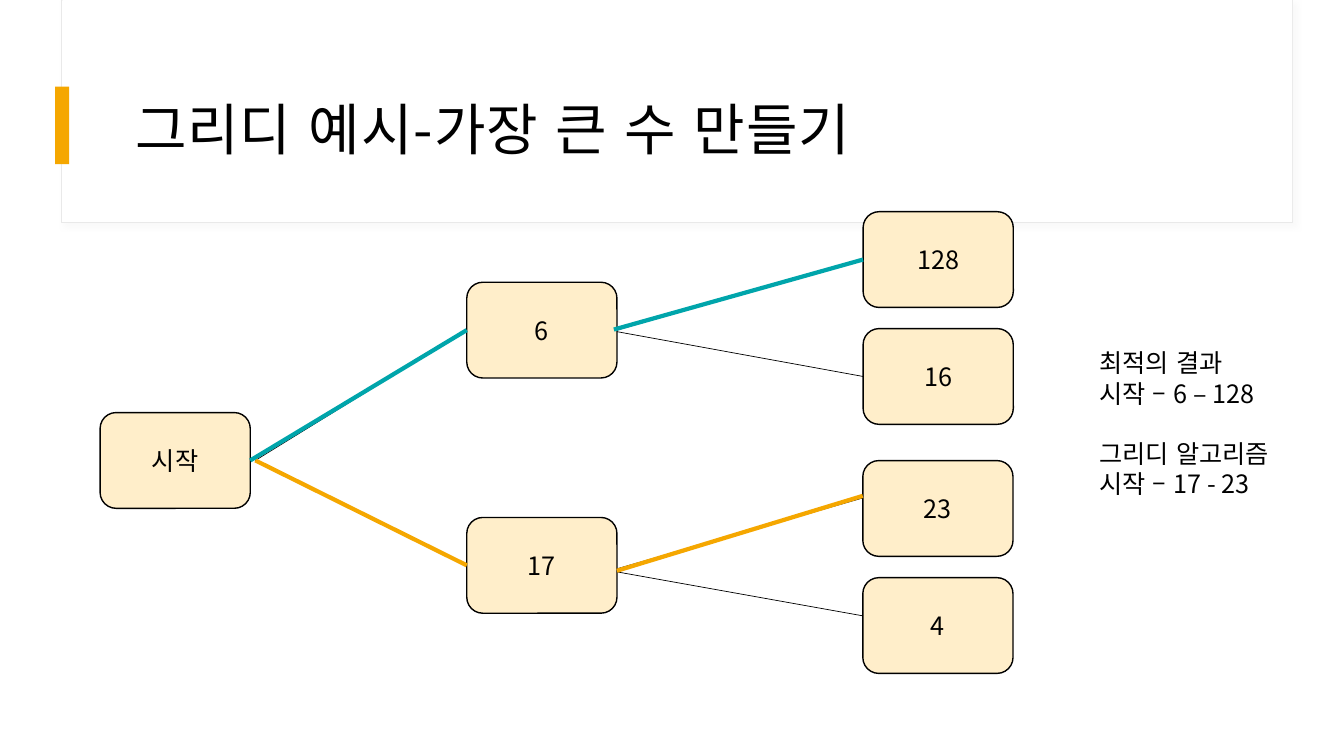
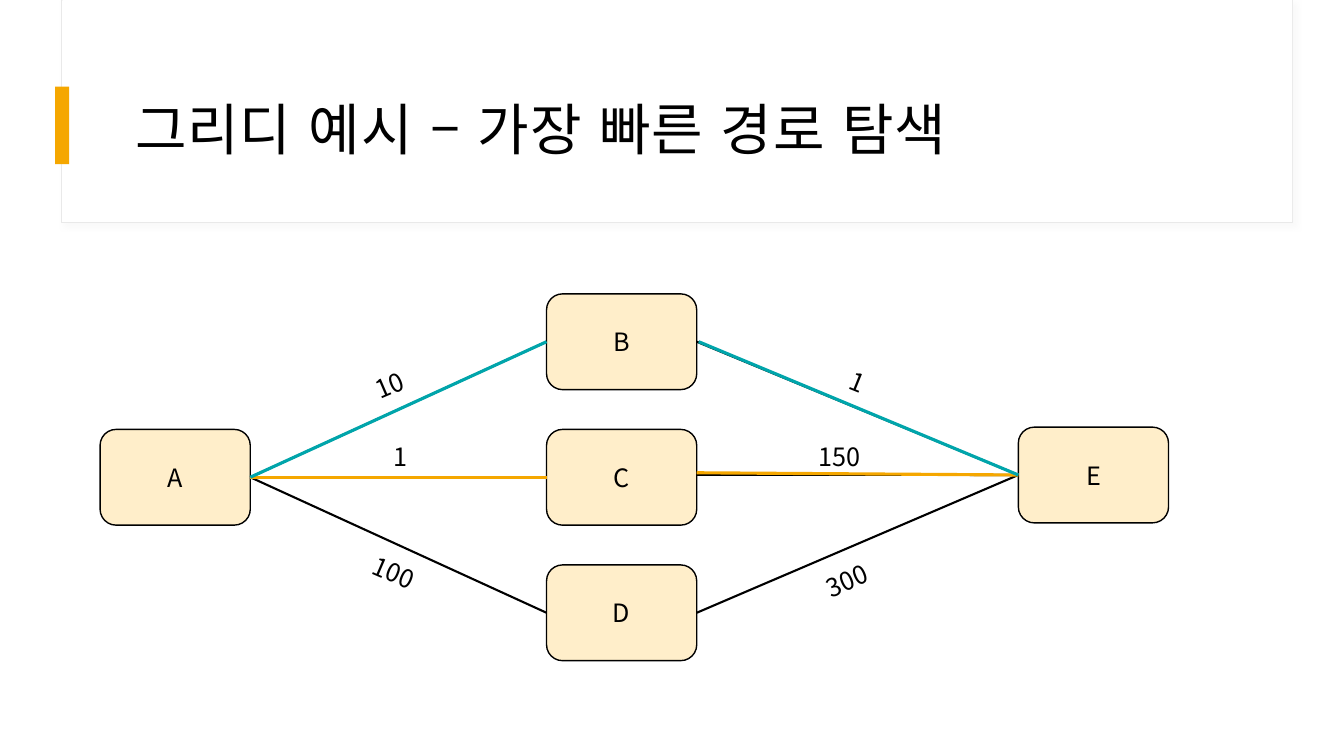
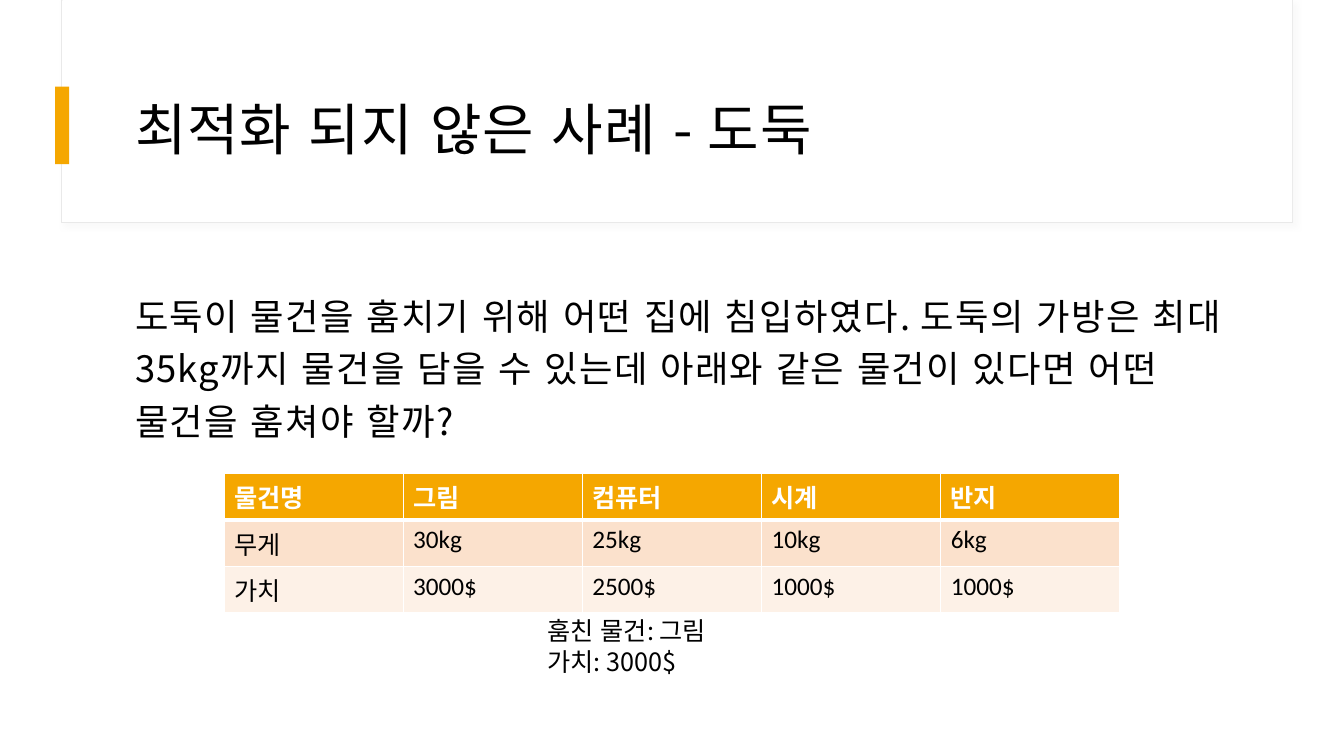
from lxml.etree import SubElement
from pptx import Presentation
from pptx.dml.color import RGBColor
from pptx.enum.lang import MSO_LANGUAGE_ID
from pptx.enum.shapes import MSO_CONNECTOR, MSO_SHAPE
from pptx.enum.text import MSO_ANCHOR, MSO_AUTO_SIZE, PP_ALIGN
from pptx.oxml.ns import qn
from pptx.util import Pt

SANS = "Noto Sans CJK KR"
BLACK, WHITE = "000000", "FFFFFF"
ORANGE, TEAL, CREAM = "F5A700", "00A5AB", "FFEECA"
FRAME_LINE, FRAME_SHADOW = "E9E9E9", "D9D9D9"
ROW_FILLS = [ORANGE, "FBE1CC", "FDF1E7"]
NODE_W, NODE_H = 107.3, 68.4

TITLE_BOX = {"left": Pt(87.8), "top": Pt(43.2), "width": Pt(800.6), "height": Pt(92.9)}
BODY_BOX = {"left": Pt(87.8), "top": Pt(195.1), "width": Pt(800.6), "height": Pt(127.4)}
HOLDER = {"margin_left": Pt(8.64), "margin_top": Pt(8.64), "margin_right": Pt(8.64),
          "margin_bottom": Pt(7.2), "auto_size": MSO_AUTO_SIZE.NONE, "word_wrap": True}
TITLE_FRAME = {**HOLDER, "vertical_anchor": MSO_ANCHOR.MIDDLE}
BODY_FRAME = {**HOLDER, "vertical_anchor": MSO_ANCHOR.TOP}
TITLE_PARA = {"alignment": PP_ALIGN.LEFT, "line_spacing": 1.05, "space_before": Pt(0)}
BODY_PARA = {"alignment": PP_ALIGN.LEFT, "line_spacing": 1.2, "space_before": Pt(0)}
CENTRED = {"alignment": PP_ALIGN.CENTER}
TEXT_FONT = {"name": SANS, "size": Pt(18), "language_id": MSO_LANGUAGE_ID.KOREAN}
TITLE_FONT = {**TEXT_FONT, "size": Pt(40)}
BODY_FONT = {**TEXT_FONT, "size": Pt(26)}
CELL_FONT = {**TEXT_FONT, "name": "Calibri", "bold": False}
HEAD_FONT = {**CELL_FONT, "bold": True}


def apply(target, values):
    """Set each named attribute of the target."""
    for name, value in values.items():
        setattr(target, name, value)


def rgb(colour):
    """Turn a hex string into a colour."""
    return RGBColor.from_string(colour)


def fill_solid(target, colour):
    """Fill a shape or a cell with one colour."""
    target.fill.solid()
    target.fill.fore_color.rgb = rgb(colour)


def write(tf, lines, font, para, colour=BLACK, spacing=0):
    """Write one paragraph per line in one format."""
    for i, line in enumerate(lines):
        p = tf.add_paragraph() if i else tf.paragraphs[0]
        apply(p, para)
        r = p.add_run()
        r.text = line
        apply(r.font, font)
        r.font.color.rgb = rgb(colour)
        if spacing:
            r._r.get_or_add_rPr().set("spc", str(spacing))


def add_box(s, kind, x, y, w, h, fill, line=None, line_width=1.0):
    """Add a flat preset shape, with or without an outline."""
    sp = s.shapes.add_shape(kind, Pt(x), Pt(y), Pt(w), Pt(h))
    sp.shadow.inherit = False
    fill_solid(sp, fill)
    if line:
        sp.line.color.rgb = rgb(line)
        sp.line.width = Pt(line_width)
    else:
        sp.line.fill.background()
    return sp


def add_frame_shadow(sp):
    """Give the title frame its soft shadow."""
    effects = sp._element.spPr.find(qn("a:effectLst"))
    shadow = SubElement(effects, qn("a:outerShdw"), blurRad=str(Pt(4)), dist=str(Pt(3)),
                        dir="2700000", algn="tl", rotWithShape="0")
    tint = SubElement(shadow, qn("a:srgbClr"), val=FRAME_SHADOW)
    SubElement(tint, qn("a:alpha"), val="15000")


def decorate_master(prs, s):
    """Build the title frame and accent bar and move them to the master."""
    frame = add_box(s, MSO_SHAPE.RECTANGLE, 43.9, 0, 879.1, 159.1, WHITE, FRAME_LINE, 0.75)
    add_frame_shadow(frame)
    panel = add_box(s, MSO_SHAPE.RECTANGLE, 44.6, 0, 878.4, 158.4, WHITE)
    bar = add_box(s, MSO_SHAPE.RECTANGLE, 39.4, 61.9, 10.1, 55.4, ORANGE)
    for i, sp in enumerate([frame, panel, bar]):
        sp.element.nvSpPr.cNvPr.set("id", str(100 + i))
        prs.slide_master.shapes.element.insert(2 + i, sp.element)


def add_slide(prs, layout, title):
    """Add a slide with a formatted title."""
    s = prs.slides.add_slide(prs.slide_layouts[layout])
    apply(s.shapes.title, TITLE_BOX)
    tf = s.shapes.title.text_frame
    apply(tf, TITLE_FRAME)
    write(tf, [title], TITLE_FONT, TITLE_PARA, spacing=70)
    return s


def add_body(s, text):
    """Fill the body placeholder with one plain paragraph."""
    body = s.placeholders[1]
    apply(body, BODY_BOX)
    tf = body.text_frame
    apply(tf, BODY_FRAME)
    pPr = tf.paragraphs[0]._p.get_or_add_pPr()
    pPr.set("marL", "0")
    pPr.set("indent", "0")
    SubElement(pPr, qn("a:buNone"))
    write(tf, [text], BODY_FONT, BODY_PARA, spacing=90)


def add_text(s, x, y, w, h, lines, para, rotation=0):
    """Add a text box, turned if needed, and return its text frame."""
    sp = s.shapes.add_textbox(Pt(x), Pt(y), Pt(w), Pt(h))
    sp.rotation = rotation
    sp.text_frame.word_wrap = True
    write(sp.text_frame, lines, TEXT_FONT, para)
    return sp.text_frame


def add_nodes(s, places):
    """Add the graph's nodes and return them by label."""
    nodes = {}
    for label, (x, y) in places.items():
        sp = add_box(s, MSO_SHAPE.ROUNDED_RECTANGLE, x, y, NODE_W, NODE_H, CREAM, BLACK)
        sp.text_frame.vertical_anchor = MSO_ANCHOR.MIDDLE
        write(sp.text_frame, [label], TEXT_FONT, CENTRED)
        nodes[label] = sp
    return nodes


def add_edge(s, a, b, colour, width, nudge=None):
    """Join a's right side to b's left; a nudge (dx, dy, end dy) leaves it unglued."""
    dx, dy, end_dy = nudge or (0, 0, 0)
    line = s.shapes.add_connector(
        MSO_CONNECTOR.STRAIGHT,
        a.left + a.width + Pt(dx), a.top + a.height // 2 + Pt(dy),
        b.left, b.top + b.height // 2 + Pt(end_dy))
    if not nudge:
        line.begin_connect(a, 3)
        line.end_connect(b, 1)
    line.line.color.rgb = rgb(colour)
    line.line.width = Pt(width)
    SubElement(line._element.spPr, qn("a:effectLst"))


def add_edges(s, nodes, colour, width, edges):
    """Add edges of one colour and width."""
    for start, end, *nudge in edges:
        add_edge(s, nodes[start], nodes[end], colour, width, *nudge)


def add_cell_borders(cell, widths):
    """Draw white borders, in the order left, right, top, bottom."""
    tcPr = cell._tc.get_or_add_tcPr()
    for side, width in zip("LRTB", widths):
        ln = SubElement(tcPr, qn(f"a:ln{side}"), w=str(Pt(width)))
        SubElement(SubElement(ln, qn("a:solidFill")), qn("a:srgbClr"), val=WHITE)


def add_item_table(s, x, y, w, row_h, rows):
    """Add a table with a header row and tinted rows."""
    shape = s.shapes.add_table(len(rows), len(rows[0]), Pt(x), Pt(y), Pt(w), Pt(row_h * len(rows)))
    for i, row in enumerate(rows):
        for j, text in enumerate(row):
            cell = shape.table.cell(i, j)
            add_cell_borders(cell, (1, 1, 3 if i == 1 else 1, 3 if i == 0 else 1))
            fill_solid(cell, ROW_FILLS[i])
            font, colour = (CELL_FONT, BLACK) if i else (HEAD_FONT, WHITE)
            write(cell.text_frame, [text], font, {}, colour)


def build_largest_sum(s):
    """Draw the tree of numbers and the two results."""
    nodes = add_nodes(s, {
        "시작": (71.5, 294.7), "17": (333.4, 369.6), "6": (333.4, 201.6),
        "16": (616.5, 234.7), "128": (616.5, 151.2), "4": (616.3, 412.6), "23": (616.3, 329)})
    add_edges(s, nodes, BLACK, 0.5, [
        ("6", "128"), ("6", "16", (0, 1.1, 0)), ("17", "23", (0, 2.5, -7.5)),
        ("17", "4", (0, 4.7, -6.9)), ("시작", "6", (3.6, 0, 0)), ("시작", "17", (3.6, 0, 0))])
    add_edges(s, nodes, ORANGE, 3, [("시작", "17", (3.6, 0, 0)), ("17", "23", (0, 3.9, -9))])
    add_edges(s, nodes, TEAL, 3, [("시작", "6"), ("6", "128", (-2.2, -0.4, 0))])
    tf = add_text(s, 778.3, 244.8, 165.6, 116.6,
                  ["최적의 결과", "시작 – 6 – 128", "그리디 알고리즘", "시작 – 17 - 23"], {})
    tf.paragraphs[2].space_before = Pt(21.6)


def build_fastest_route(s):
    """Draw the weighted routes from A to E."""
    middle = {label: (390.4, 209.9 + 96.8 * i) for i, label in enumerate("BCD")}
    nodes = add_nodes(s, {"A": (71.5, 306.7), **middle, "E": (727.4, 305.1)})
    add_edges(s, nodes, BLACK, 1.5, [
        ("A", "B"), ("A", "C"), ("A", "D"), ("C", "E", (0, -1.8, 0)), ("B", "E"), ("D", "E")])
    for x, y, cost, rotation in [
            (249.1, 260.6, "10", 336.8), (257, 311.8, "1", 0), (252, 394.6, "100", 23.4),
            (583.2, 258.5, "1", 22.1), (570.2, 311.8, "150", 0), (576, 400.3, "300", 336.2)]:
        add_text(s, x, y, 58.3, 29, [cost], CENTRED, rotation)
    add_edges(s, nodes, ORANGE, 2.25, [("A", "C"), ("C", "E", (0, -3.2, 0))])
    add_edges(s, nodes, TEAL, 2.25, [("A", "B"), ("B", "E", (1.4, 0, 0))])


def build_thief(s):
    """Show the thief's question, the items and the greedy choice."""
    add_body(s, "도둑이 물건을 훔치기 위해 어떤 집에 침입하였다. 도둑의 가방은 최대 35kg까지 "
                "물건을 담을 수 있는데 아래와 같은 물건이 있다면 어떤 물건을 훔쳐야 할까?")
    add_item_table(s, 160, 338, 640, 29.2, [
        ["물건명", "그림", "컴퓨터", "시계", "반지"],
        ["무게", "30kg", "25kg", "10kg", "6kg"],
        ["가치", "3000$", "2500$", "1000$", "1000$"]])
    add_text(s, 383.8, 436.3, 267.1, 51.1, ["훔친 물건: 그림", "가치: 3000$"], {})


def main():
    """Build and save the presentation."""
    prs = Presentation()
    prs.slide_width, prs.slide_height = Pt(960), Pt(540)
    s = add_slide(prs, 5, "그리디 예시-가장 큰 수 만들기")
    decorate_master(prs, s)
    build_largest_sum(s)
    build_fastest_route(add_slide(prs, 5, "그리디 예시 – 가장 빠른 경로 탐색"))
    build_thief(add_slide(prs, 1, "최적화 되지 않은 사례 - 도둑"))
    prs.save("out.pptx")


if __name__ == "__main__":
    main()
